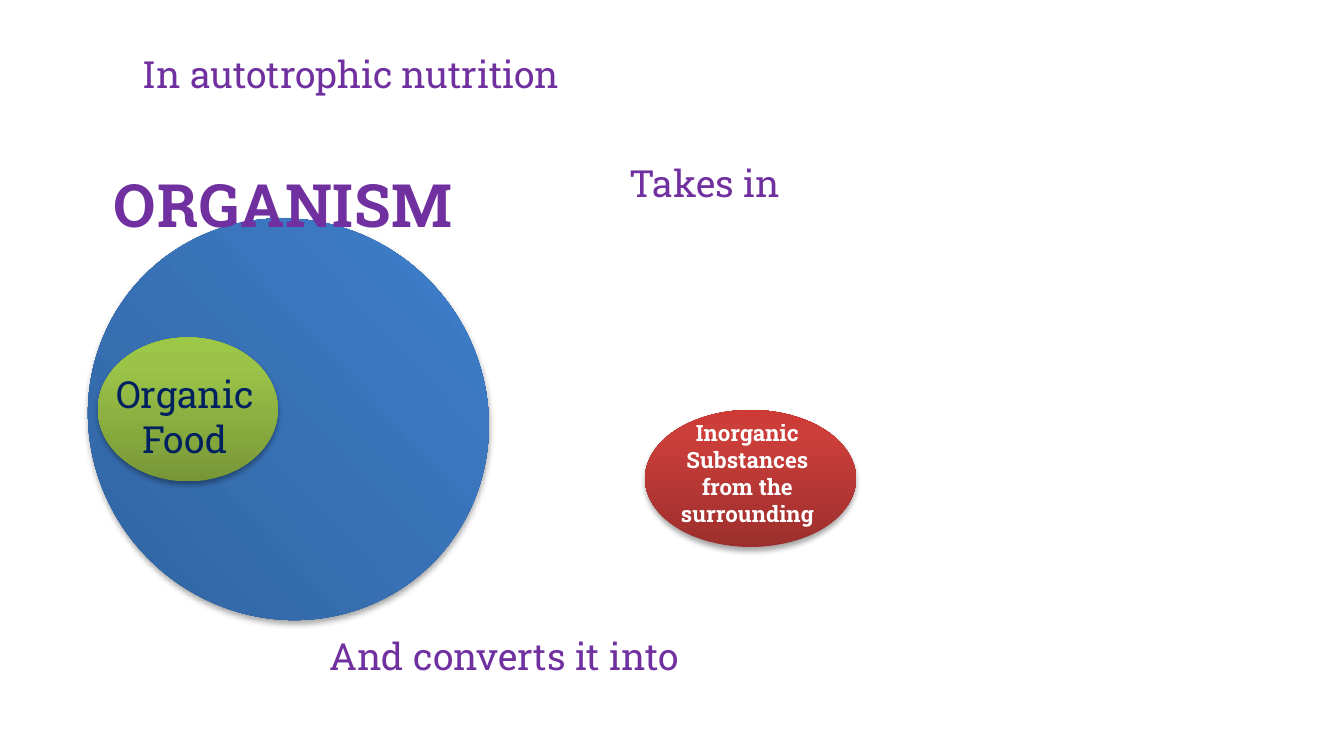
"""Build a slide on how an organism feeds in autotrophic nutrition."""
from copy import deepcopy

from lxml.etree import SubElement
from pptx import Presentation
from pptx.dml.color import RGBColor
from pptx.enum.shapes import MSO_SHAPE
from pptx.enum.text import MSO_ANCHOR, PP_ALIGN
from pptx.oxml.ns import qn
from pptx.util import Cm, Pt

COLORS = {"purple": "7030A0", "navy": "002060", "white": "FFFFFF", "shadow": "000000"}
GRADIENTS = {
    "blue": ("2F5F99", "3D7CC7", "3A7CCB"),
    "red": ("9C2F2D", "CB3E3A", "CE3B37"),
    "green": ("779737", "9BC348", "9DC746"),
}
FONT = "Roboto Slab"


def add_oval(place, gradient):
    """Add a shaded, shadowed oval without an outline."""
    oval = page.shapes.add_shape(MSO_SHAPE.OVAL, *map(Cm, place))
    oval.fill.gradient()
    oval.fill.gradient_angle = 90
    stops = oval._element.spPr.find(qn("a:gradFill")).find(qn("a:gsLst"))
    stops.append(deepcopy(stops[-1]))
    for stop, position, color in zip(oval.fill.gradient_stops, (0, 0.8, 1), GRADIENTS[gradient]):
        stop.position = position
        stop.color.rgb = RGBColor.from_string(color)
    oval.line.fill.background()
    oval.shadow.inherit = False
    effects = oval._element.spPr.find(qn("a:effectLst"))
    shadow = SubElement(effects, qn("a:outerShdw"), blurRad=str(Pt(3.1)), dist=str(Pt(1.8)),
                        dir="5400000", rotWithShape="0")
    color = SubElement(shadow, qn("a:srgbClr"), val=COLORS["shadow"])
    SubElement(color, qn("a:alpha"), val="35000")
    return oval


def write_label(box, text, size, color, bold=False):
    """Write one centred paragraph at the top of a box."""
    frame = box.text_frame
    frame.word_wrap = True
    frame.vertical_anchor = MSO_ANCHOR.TOP
    para = frame.paragraphs[0]
    para.text = text
    para.alignment = PP_ALIGN.CENTER
    para.font.name = FONT
    para.font.size = Pt(size)
    para.font.bold = bold
    para.font.color.rgb = RGBColor.from_string(COLORS[color])


deck = Presentation()
deck.slide_width, deck.slide_height = Cm(25.4), Cm(14.29)
page = deck.slides.add_slide(deck.slide_layouts[5])

title = page.shapes.title
title.left, title.top, title.width, title.height = map(Cm, (1.85, 0.84, 9.58, 1.12))
write_label(title, "In autotrophic nutrition", 20, "purple")

organism = add_oval((1.6, 4.19, 7.7, 7.47), "blue")
organism.rotation = 47.1
add_oval((12.19, 7.75, 3.99, 2.59), "red")
add_oval((1.85, 6.38, 3.4, 2.72), "green")

for place, text, size, color, bold in (
    ((12.45, 7.8, 3.35, 2.31), "Inorganic Substances from the surrounding", 12, "white", True),
    ((1.76, 6.89, 3.48, 1.96), "Organic Food", 20, "navy", False),
    ((9.08, 2.91, 8.48, 1.12), "Takes in", 20, "purple", False),
    ((5.29, 11.84, 8.48, 1.12), "And converts it into", 20, "purple", False),
):
    write_label(page.shapes.add_textbox(*map(Cm, place)), text, size, color, bold)

heading = page.shapes.add_textbox(Cm(0.99), Cm(3.05), Cm(8.74), Cm(5.16))
write_label(heading, "ORGANISM", 32, "purple", True)
heading.text_frame.word_wrap = False
span = heading.text_frame.paragraphs[0].runs[0]
span._r.get_or_add_rPr().set("spc", "50")

deck.save("out.pptx")
